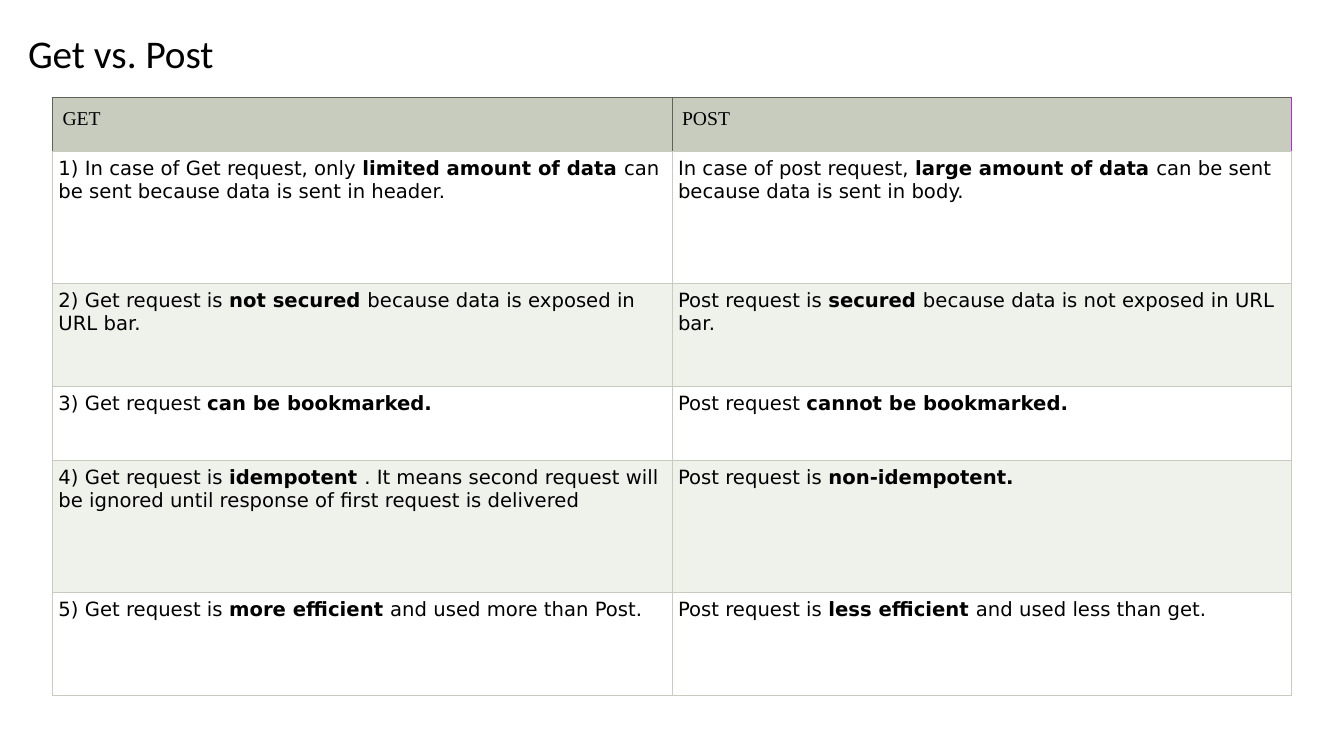
from lxml.etree import SubElement
from pptx import Presentation
from pptx.dml.color import RGBColor
from pptx.oxml.ns import qn
from pptx.util import Inches, Pt

BLACK = RGBColor(0x00, 0x00, 0x00)
WHITE = RGBColor(0xFF, 0xFF, 0xFF)
SAGE = RGBColor(0xC7, 0xCC, 0xBE)
PALE_SAGE = RGBColor(0xEF, 0xF1, 0xEB)
DARK_GREY = RGBColor(0x5F, 0x62, 0x5B)
PURPLE = RGBColor(0xB8, 0x26, 0xE0)

ROW_HEIGHTS = (0.53, 1.31, 1.02, 0.74, 1.31, 1.02)
HEADINGS = ("GET", "POST")
COMPARISONS = (
    (("1) In case of Get request, only\u00a0", "limited amount of data\u00a0",
      "can be sent because data is sent in header."),
     ("In case of post request,\u00a0", "large amount of data\u00a0",
      "can be sent because data is sent in body.")),
    (("2) Get request is\u00a0", "not secured\u00a0",
      "because data is exposed in URL bar."),
     ("Post request is\u00a0", "secured\u00a0",
      "because data is not exposed in URL bar.")),
    (("3) Get request\u00a0", "can be bookmarked."),
     ("Post request\u00a0", "cannot be bookmarked.")),
    (("4) Get request is\u00a0", "idempotent\u00a0",
      ". It means second request will be ignored until response of first "
      "request is delivered"),
     ("Post request is\u00a0", "non-idempotent.")),
    (("5) Get request is\u00a0", "more efficient\u00a0",
      "and used more than Post."),
     ("Post request is\u00a0", "less efficient\u00a0",
      "and used less than get.")),
)


def style_paragraph(paragraph, font_name, size):
    """Set the font of a whole paragraph."""
    paragraph.font.name = font_name
    paragraph.font.size = Pt(size)
    paragraph.font.color.rgb = BLACK


def set_borders(cell, left, right, top, bottom):
    """Draw the four thin borders of a cell."""
    properties = cell._tc.get_or_add_tcPr()
    for side, color in zip("LRTB", (left, right, top, bottom)):
        line = SubElement(properties, qn(f"a:ln{side}"), w=str(Pt(0.75)))
        fill = SubElement(line, qn("a:solidFill"))
        SubElement(fill, qn("a:srgbClr"), val=str(color))


def fill_cell(cell, parts, font_name, margin, color, borders):
    """Write a cell whose second text part is bold."""
    set_borders(cell, *borders)
    cell.margin_left = cell.margin_right = Inches(margin)
    cell.margin_top = cell.margin_bottom = Inches(margin)
    cell.fill.solid()
    cell.fill.fore_color.rgb = color
    paragraph = cell.text_frame.paragraphs[0]
    style_paragraph(paragraph, font_name, 14)
    for position, part in enumerate(parts):
        run = paragraph.add_run()
        run.text = part
        run.font.bold = position == 1


def add_title(slide, left, top, width, height):
    """Add the slide heading."""
    title = slide.shapes.add_textbox(
        Inches(left), Inches(top), Inches(width), Inches(height)).text_frame
    title.word_wrap = True
    paragraph = title.paragraphs[0]
    paragraph.text = "Get vs. Post"
    paragraph.line_spacing = 0.9
    style_paragraph(paragraph, "Calibri", 28)


def add_comparison(slide, left, top, width):
    """Add the two-column table of request differences."""
    table = slide.shapes.add_table(
        len(ROW_HEIGHTS), len(HEADINGS), Inches(left), Inches(top),
        Inches(width), Inches(sum(ROW_HEIGHTS))).table
    for column in table.columns:
        column.width = Inches(width / len(HEADINGS))
    for row, height in zip(table.rows, ROW_HEIGHTS):
        row.height = Inches(height)
    for column, heading in enumerate(HEADINGS):
        right = PURPLE if column == len(HEADINGS) - 1 else DARK_GREY
        fill_cell(table.cell(0, column), (heading,), "Times New Roman", 0.1,
                  SAGE, (DARK_GREY, right, DARK_GREY, SAGE))
    for row, comparison in enumerate(COMPARISONS, start=1):
        color = WHITE if row % 2 else PALE_SAGE
        for column, parts in enumerate(comparison):
            fill_cell(table.cell(row, column), parts, "DejaVu Sans", 0.06,
                      color, (SAGE,) * 4)


def build_presentation():
    """Build the slide and save it."""
    presentation = Presentation()
    presentation.slide_width = Inches(13.33)
    presentation.slide_height = Inches(7.5)
    slide = presentation.slides.add_slide(presentation.slide_layouts[6])
    add_title(slide, 0.18, 0.29, 12.23, 7)
    add_comparison(slide, 0.52, 0.97, 12.29)
    presentation.save("out.pptx")


build_presentation()
